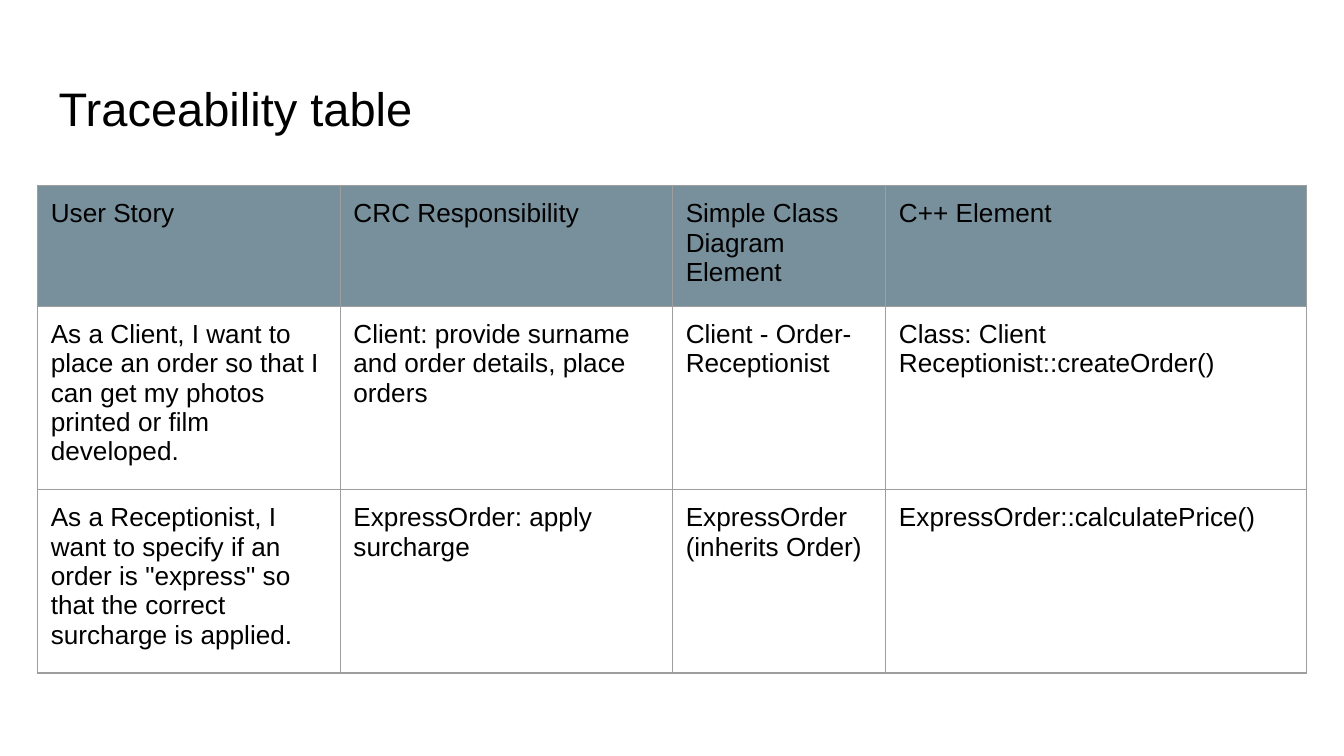
from pptx import Presentation
from pptx import util as u
from pptx.dml import color
from pptx.enum import text
from pptx.oxml import ns, xmlchemy as xc


def hue(code):
    return color.RGBColor.from_string(code)


def write(frame, words, size):
    frame.text = words
    frame.word_wrap = True
    for para in frame.paragraphs:
        para.alignment = text.PP_ALIGN.LEFT
        for run in para.runs:
            run.font.name = "Arial"
            run.font.size = u.Pt(size)
            run.font.bold = False
            run.font.color.rgb = hue("000000")


deck = Presentation()
deck.slide_width, deck.slide_height = u.Cm(25.4), u.Cm(14.29)
slide = deck.slides.add_slide(deck.slide_layouts[6])
pad = u.Cm(0.25)

# Title
title = slide.shapes.add_textbox(u.Cm(0.86), u.Cm(1.24), u.Cm(23.67), u.Cm(1.6))
frame = title.text_frame
write(frame, "Traceability table", 25.2)
frame.vertical_anchor = text.MSO_ANCHOR.MIDDLE
frame.margin_left = frame.margin_right = pad
frame.margin_top = frame.margin_bottom = pad

# Table content
rows = [
    ["User Story", "CRC Responsibility",
     "Simple Class\nDiagram Element", "C++ Element"],
    ["As a Client, I want to place an order so that I can get my photos "
     "printed or film developed.",
     "Client: provide surname and order details, place orders",
     "Client - Order- Receptionist",
     "Class: Client\nReceptionist::createOrder()"],
    ["As a Receptionist, I want to specify if an order is \"express\" so that "
     "the correct surcharge is applied.",
     "ExpressOrder: apply surcharge",
     "ExpressOrder (inherits Order)",
     "ExpressOrder::calculatePrice()"],
]
widths = [5.72, 6.28, 4.03, 7.95]
high = 1.07  # rows grow to fit their text

# Table grid
grid = slide.shapes.add_table(
    len(rows), len(widths), u.Cm(0.71), u.Cm(3.51),
    u.Cm(sum(widths)), u.Cm(high * len(rows))).table
grid.horz_banding = False
for col, wide in zip(grid.columns, widths):
    col.width = u.Cm(wide)

# Cells: text, fill and borders
for r, row in enumerate(rows):
    grid.rows[r].height = u.Cm(high)
    for c, words in enumerate(row):
        cell = grid.cell(r, c)
        write(cell.text_frame, words, 14)
        cell.margin_left = cell.margin_right = pad
        cell.margin_top = cell.margin_bottom = pad
        props = cell._tc.get_or_add_tcPr()
        for side in ("lnL", "lnR", "lnT", "lnB"):
            line = xc.OxmlElement("a:" + side)
            line.set("w", str(u.Pt(0.75)))
            fill = line.makeelement(ns.qn("a:solidFill"))
            tone = line.makeelement(ns.qn("a:srgbClr"), {"val": "9E9E9E"})
            fill.append(tone)
            line.append(fill)
            props.append(line)
        if r == 0:
            cell.fill.solid()
            cell.fill.fore_color.rgb = hue("78909C")
        else:
            cell.fill.background()

deck.save("out.pptx")
